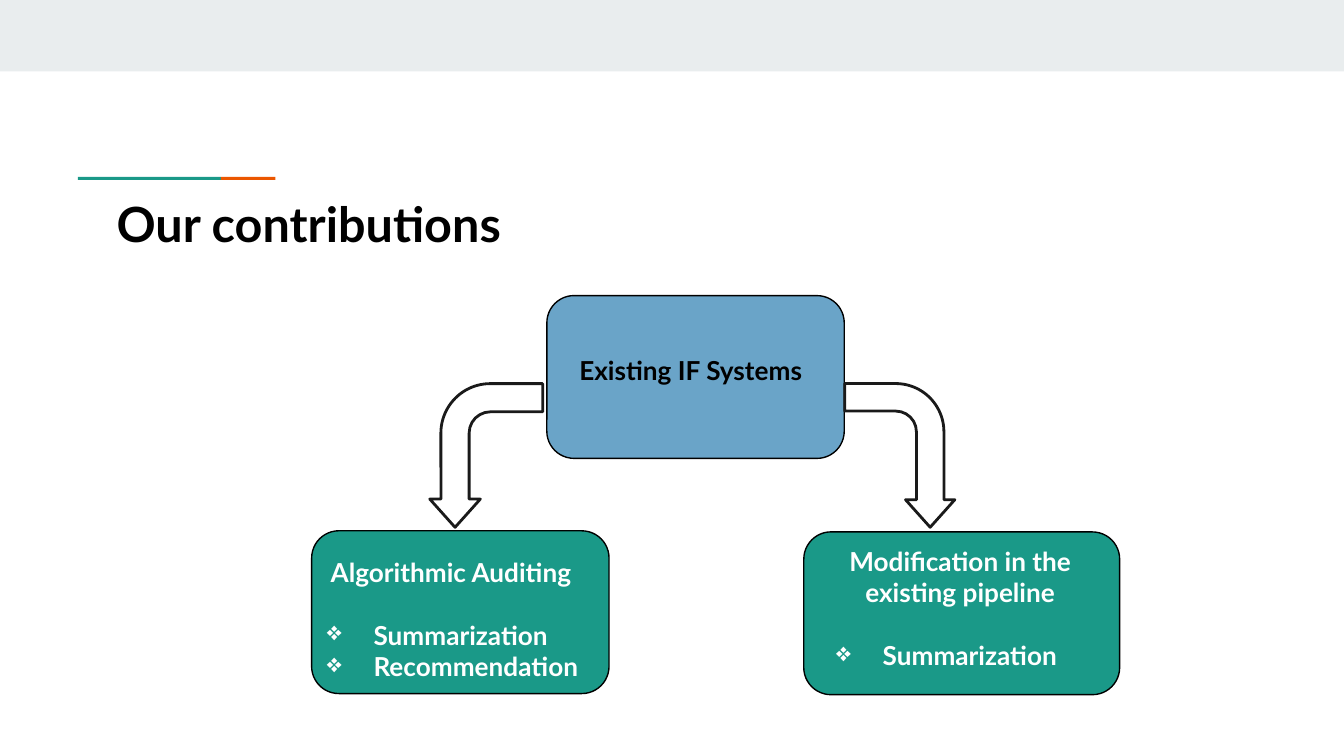
from lxml.etree import SubElement
from pptx import Presentation
from pptx.dml.color import RGBColor
from pptx.enum.shapes import MSO_SHAPE as Shape
from pptx.enum.text import PP_ALIGN as Align
from pptx.oxml.ns import qn
from pptx.util import Pt

COLORS = {
    "band": "E9EDEE",
    "teal": "1A9988",
    "orange": "EB5600",
    "blue": "6AA4C8",
    "black": "000000",
    "ink": "1A1A1A",
    "white": "FFFFFF",
}
FONT = "Lato"


def rgb(name):
    return RGBColor.from_string(COLORS[name])


def add_shape(slide, kind, box, fill=None, line=None, width=0.75):
    shape = slide.shapes.add_shape(kind, *map(Pt, box))
    shape.shadow.inherit = False
    if fill:
        shape.fill.solid()
        shape.fill.fore_color.rgb = rgb(fill)
    else:
        shape.fill.background()
    if line:
        shape.line.color.rgb = rgb(line)
        shape.line.width = Pt(width)
    else:
        shape.line.fill.background()
    return shape


def add_bullet(paragraph, color):
    properties = paragraph._p.get_or_add_pPr()
    properties.set("marL", str(Pt(36)))
    properties.set("indent", str(Pt(-25)))
    bullet_color = SubElement(properties, qn("a:buClr"))
    SubElement(bullet_color, qn("a:srgbClr"), val=COLORS[color])
    SubElement(properties, qn("a:buChar"), char="❖")


def write(paragraph, text, size=14, color="white", align=Align.LEFT, before=0, bullet=False):
    if bullet:
        add_bullet(paragraph, color)
    paragraph.alignment = align
    if before:
        paragraph.space_before = Pt(before)
    run = paragraph.add_run()
    run.text = text
    run.font.name = FONT
    run.font.size = Pt(size)
    run.font.bold = True
    run.font.color.rgb = rgb(color)


def add_text(slide, box, heading, bullets=(), **style):
    frame = slide.shapes.add_textbox(*map(Pt, box)).text_frame
    frame.word_wrap = True
    frame.margin_left = frame.margin_right = Pt(7.2)
    frame.margin_top = frame.margin_bottom = Pt(7.2)
    write(frame.paragraphs[0], heading, **style)
    for index, bullet in enumerate(bullets):
        write(frame.add_paragraph(), bullet, before=0 if index else 16.8, bullet=True)


def add_card(slide, box, fill):
    card = add_shape(slide, Shape.ROUNDED_RECTANGLE, box, fill, "black")
    card.adjustments[0] = 0.167


def add_bent_arrow(slide, box, rotation, flipped=False):
    arrow = add_shape(slide, Shape.BENT_ARROW, box, line="ink", width=1.5)
    for index, value in enumerate((0.25, 0.224, 0.25, 0.438)):
        arrow.adjustments[index] = value
    arrow.rotation = rotation
    if flipped:
        arrow._element.spPr.xfrm.set("flipH", "1")


def main():
    presentation = Presentation()
    presentation.slide_width = Pt(720)
    presentation.slide_height = Pt(405)
    slide = presentation.slides.add_slide(presentation.slide_layouts[6])

    add_shape(slide, Shape.RECTANGLE, (0, 0, 720, 38.3), "band")
    add_shape(slide, Shape.RECTANGLE, (41.8, 94.8, 76.6, 1.6), "teal")
    add_shape(slide, Shape.RECTANGLE, (118.4, 94.8, 29.2, 1.6), "orange")

    add_card(slide, (167, 284.4, 159.3, 87.2), "teal")
    add_text(slide, (157, 290.9, 169.2, 67.7), "Algorithmic Auditing",
             ("Summarization", "Recommendation"), align=Align.CENTER)

    add_card(slide, (430.6, 285, 169.2, 87.2), "teal")
    add_text(slide, (429.8, 285, 169.2, 87.2), "Modification in the existing pipeline",
             ("Summarization",), align=Align.CENTER)

    add_card(slide, (293, 158.4, 159.3, 87.2), "blue")
    add_text(slide, (298.1, 182.9, 144, 67.7), "Existing IF Systems",
             color="black", align=Align.CENTER)

    add_bent_arrow(slide, (443.5, 214.5, 77, 59), 90)
    add_bent_arrow(slide, (222, 213.8, 77, 60.5), 270, flipped=True)

    add_text(slide, (55.4, 96.5, 578.2, 67.7), "Our contributions", size=26, color="black")

    presentation.save("out.pptx")


if __name__ == "__main__":
    main()
